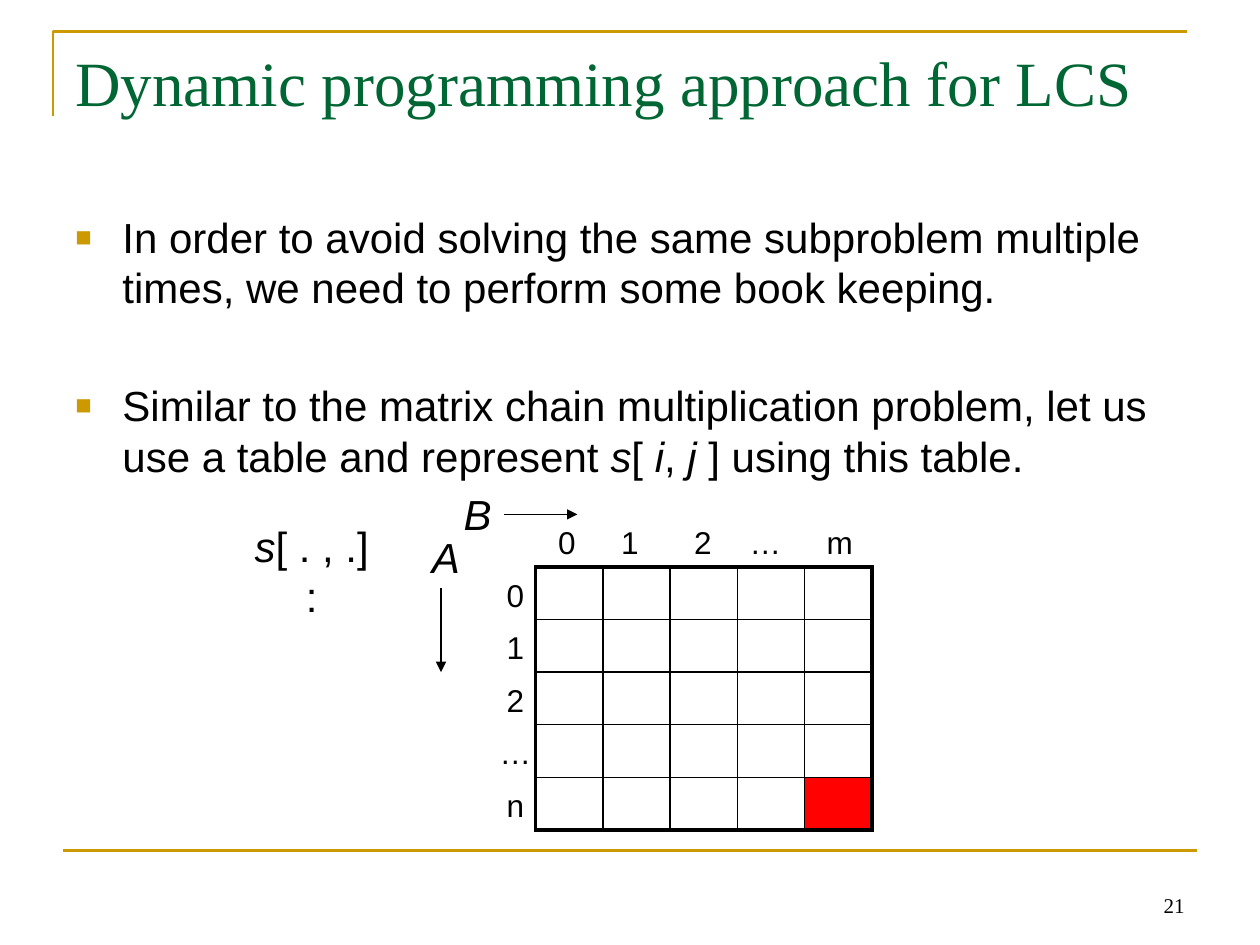
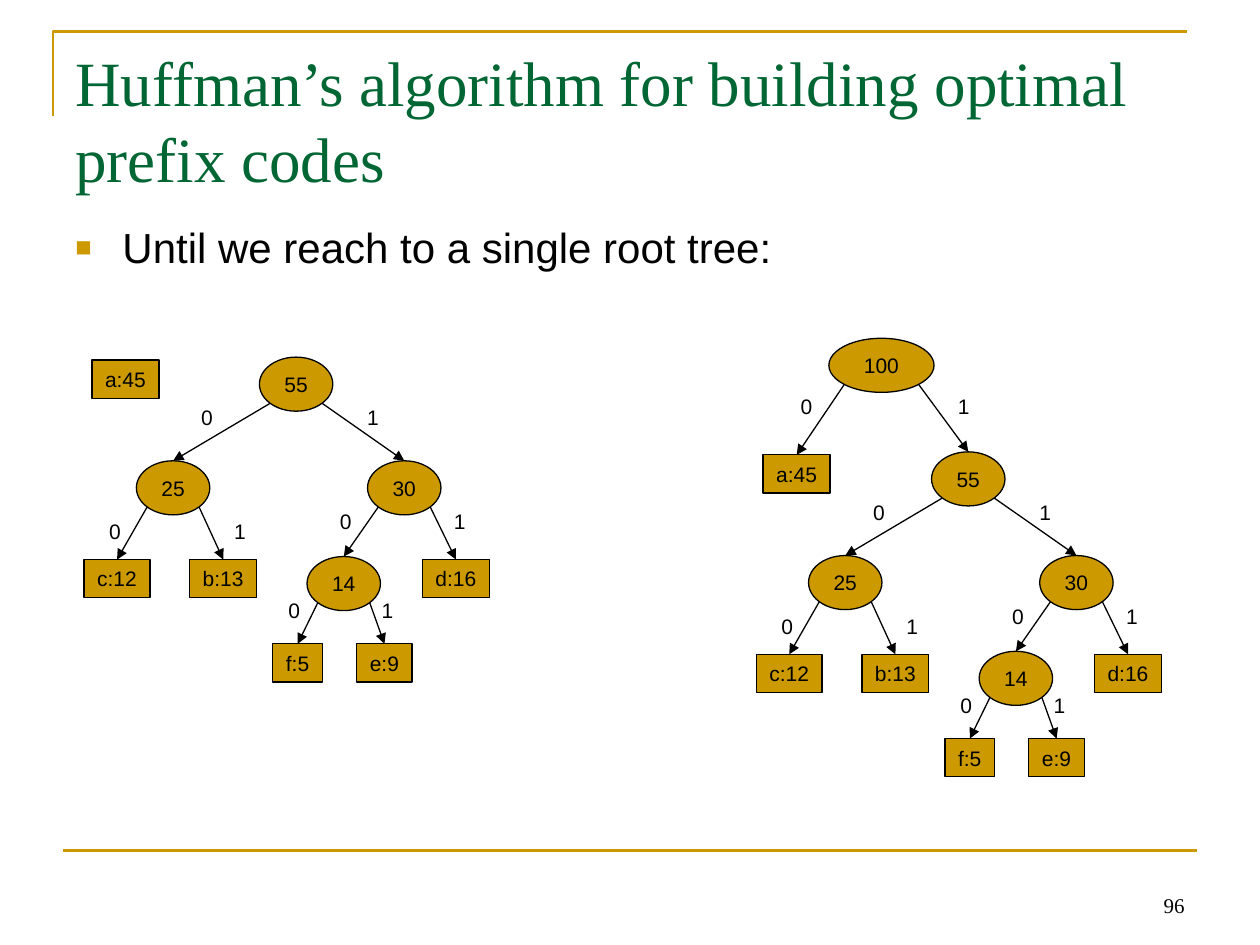
"""Build two algorithm lecture slides: an LCS table and Huffman trees."""
from lxml import etree
from pptx import Presentation
from pptx.dml.color import RGBColor
from pptx.enum.shapes import MSO_CONNECTOR, MSO_SHAPE
from pptx.enum.text import MSO_ANCHOR, PP_ALIGN
from pptx.oxml.ns import qn
from pptx.util import Cm, Pt

STRAIGHT = MSO_CONNECTOR.STRAIGHT
RECTANGLE, OVAL = MSO_SHAPE.RECTANGLE, MSO_SHAPE.OVAL
TOP, MIDDLE, BOTTOM = MSO_ANCHOR.TOP, MSO_ANCHOR.MIDDLE, MSO_ANCHOR.BOTTOM
LEFT, CENTER, RIGHT = PP_ALIGN.LEFT, PP_ALIGN.CENTER, PP_ALIGN.RIGHT

GOLD = RGBColor(0xCC, 0x99, 0x00)
GREEN = RGBColor(0x00, 0x66, 0x33)
BLACK = RGBColor(0x00, 0x00, 0x00)
RED = RGBColor(0xFF, 0x01, 0x01)
SANS, SERIF = "Arial", "Times New Roman"

LCS_TITLE = "Dynamic programming approach for LCS"
LCS_POINTS = [
    "In order to avoid solving the same subproblem multiple times, we need to perform some book keeping.",
    "Similar to the matrix chain multiplication problem, let us use a table and represent "
    "*s*[ *i*, *j* ] using this table.",
]
ROW_LABELS = ["0", "1", "2", "…", "n"]
COLUMN_LABELS = [("0", 11.43), ("1", 12.7), ("2", 14.17), ("…", 15.43), ("m", 16.93)]
AXIS_LABELS = [("*A*", 8.99, 10.59), ("*B*", 9.63, 9.73)]
AXIS_ARROWS = [((8.89, 11.85), (8.89, 13.55)), ((10.16, 10.37), (11.64, 10.37))]
TABLE_LEFT, TABLE_TOP, COLUMN_WIDTH, ROW_HEIGHT = 10.8, 11.43, 1.355, 1.06

HUFFMAN_TITLE = "Huffman’s algorithm for building optimal prefix codes"
HUFFMAN_POINTS = ["Until we reach to a single root tree:"]
INNER_HEIGHT, LEAF_HEIGHT = 1.09, 0.77
NODES = {
    "f:5": (6.0, 12.98, 1.0),
    "b:13": (4.5, 11.28, 1.35),
    "c:12": (2.36, 11.28, 1.33),
    "d:16": (9.19, 11.28, 1.35),
    "e:9": (7.75, 12.98, 1.12),
    "a:45": (2.53, 7.26, 1.35),
    "14": (6.93, 11.22, 1.48),
    "25": (3.49, 9.29, 1.48),
    "30": (8.15, 9.29, 1.48),
    "55": (5.97, 7.2, 1.48),
}
BRANCHES = {
    "14": ("f:5", "e:9", -1.0, 0.88, 0.71),
    "25": ("c:12", "b:13", -1.17, 1.35, 1.04),
    "30": ("14", "d:16", -1.18, 1.12, 0.84),
    "55": ("25", "30", -1.8, 1.55, 0.84),
}
SHIFT_X, SHIFT_Y = 13.55, 1.91
FULL_NODES = {
    name: (x + SHIFT_X, y + SHIFT_Y, width) for name, (x, y, width) in NODES.items()
} | {"a:45": (16.06, 9.17, 1.35), "100": (17.77, 6.82, 2.12)}
FULL_BRANCHES = BRANCHES | {"100": ("a:45", "55", -1.51, 1.66, 0.99)}


def add_bullet(paragraph):
    """Give a paragraph a gold square bullet with a hanging indent."""
    properties = paragraph._p.get_or_add_pPr()
    properties.set("marL", str(Cm(0.95)))
    properties.set("indent", str(-Cm(0.95)))
    color = etree.SubElement(properties, qn("a:buClr"))
    etree.SubElement(color, qn("a:srgbClr"), val=str(GOLD))
    etree.SubElement(properties, qn("a:buSzPct"), val="65000")
    etree.SubElement(properties, qn("a:buFont"), typeface=SANS)
    etree.SubElement(properties, qn("a:buChar"), char="■")


def write_text(shape, *texts, size=12, font=SANS, color=BLACK, align=CENTER,
               anchor=TOP, side=0.0, bullets=False, gap=0):
    """Write one paragraph per text; parts between asterisks are italic."""
    frame = shape.text_frame
    frame.word_wrap = True
    frame.vertical_anchor = anchor
    frame.margin_left = frame.margin_right = Cm(side)
    for index, text in enumerate(texts):
        paragraph = frame.add_paragraph() if index else frame.paragraphs[0]
        if bullets:
            add_bullet(paragraph)
        paragraph.alignment = align
        if index:
            paragraph.space_before = Pt(gap)
        for position, part in enumerate(text.split("*")):
            if part:
                run = paragraph.add_run()
                run.text = part
                run.font.italic = position % 2 == 1
                run.font.name, run.font.size = font, Pt(size)
                run.font.color.rgb = color


def add_box(slide, left, top, width, height, *texts, **text_format):
    """Add a text box and fill it."""
    box = slide.shapes.add_textbox(Cm(left), Cm(top), Cm(width), Cm(height))
    write_text(box, *texts, **text_format)


def add_label(slide, text, center, top, size):
    """Add a short label centred on a horizontal position."""
    add_box(slide, center - 0.6, top, 1.2, 0.25 + size * 0.042, text, size=size)


def add_line(slide, start, end, color=BLACK, width=0.75, arrow=True):
    """Add a straight line, with an arrowhead unless told otherwise."""
    points = [Cm(value) for value in (*start, *end)]
    connector = slide.shapes.add_connector(STRAIGHT, *points)
    connector.line.color.rgb = color
    connector.line.width = Pt(width)
    if arrow:
        etree.SubElement(connector.line._get_or_add_ln(), qn("a:tailEnd"), type="triangle")
    etree.SubElement(connector._element.spPr, qn("a:effectLst"))


def add_slide(presentation, number, title, points, body_top):
    """Add a slide with the shared frame, title, bullets and number."""
    slide = presentation.slides.add_slide(presentation.slide_layouts[6])
    builder = slide.shapes.build_freeform(Cm(1.07), Cm(2.33))
    builder.add_line_segments([(Cm(1.07), Cm(0.64)), (Cm(23.93), Cm(0.64))], close=False)
    bracket = builder.convert_to_shape()
    bracket.shadow.inherit = False
    bracket.fill.background()
    bracket.line.color.rgb = GOLD
    bracket.line.width = Pt(1.5)
    add_line(slide, (1.27, 17.15), (24.13, 17.15), color=GOLD, width=1.5, arrow=False)
    add_box(slide, 18.21, 17.35, 5.92, 1.27, str(number), font=SERIF,
            align=RIGHT, anchor=BOTTOM, side=0.25)
    add_box(slide, 1.27, 0.76, 22.86, 3.18, title, size=36, font=SERIF,
            color=GREEN, align=LEFT, side=0.25)
    add_box(slide, 1.27, body_top, 22.86, 12.57, *points, size=24,
            align=LEFT, side=0.25, bullets=True, gap=38.5)
    return slide


def set_borders(cell, widths):
    """Draw black cell borders from widths in points keyed by side."""
    properties = cell._tc.get_or_add_tcPr()
    for index, (side, width) in enumerate(widths.items()):
        line = etree.Element(qn(f"a:ln{side}"), w=str(Pt(width)))
        fill = etree.SubElement(line, qn("a:solidFill"))
        etree.SubElement(fill, qn("a:srgbClr"), val=str(BLACK))
        properties.insert(index, line)


def add_score_table(slide):
    """Add the empty score table with its last cell marked."""
    count = len(ROW_LABELS)
    last = count - 1
    table = slide.shapes.add_table(
        count, count, Cm(TABLE_LEFT), Cm(TABLE_TOP),
        Cm(count * COLUMN_WIDTH), Cm(count * ROW_HEIGHT)).table
    table.first_row = table.horz_banding = False
    for index in range(count):
        table.columns[index].width = Cm(COLUMN_WIDTH)
        table.rows[index].height = Cm(ROW_HEIGHT)
    for row in range(count):
        for column in range(count):
            cell = table.cell(row, column)
            cell.fill.background()
            outer = {"L": column == 0, "R": column == last, "T": row == 0, "B": row == last}
            set_borders(cell, {side: 2.25 if edge else 1 for side, edge in outer.items()})
    corner = table.cell(last, last).fill
    corner.solid()
    corner.fore_color.rgb = RED


def add_lcs_slide(presentation):
    """Add the slide on the LCS score table."""
    slide = add_slide(presentation, 21, LCS_TITLE, LCS_POINTS, 4.14)
    add_score_table(slide)
    add_box(slide, 4.66, 10.37, 3.25, 1.27, "*s*[ . , .] :", size=24, side=0.25)
    for index, text in enumerate(ROW_LABELS):
        add_label(slide, text, 10.39, TABLE_TOP + 0.05 + index * ROW_HEIGHT, 18)
    for text, center in COLUMN_LABELS:
        add_label(slide, text, center, 10.41, 18)
    for text, center, top in AXIS_LABELS:
        add_label(slide, text, center, top, 24)
    for start, end in AXIS_ARROWS:
        add_line(slide, start, end)


def add_tree(slide, nodes, branches):
    """Draw the nodes, then the labelled arrows from parents to children."""
    for name, (center, top, width) in nodes.items():
        inner = name in branches
        height = INNER_HEIGHT if inner else LEAF_HEIGHT
        node = slide.shapes.add_shape(OVAL if inner else RECTANGLE, Cm(center - width / 2),
                                      Cm(top), Cm(width), Cm(height))
        node.shadow.inherit = False
        node.fill.solid()
        node.fill.fore_color.rgb = GOLD
        node.line.color.rgb = BLACK
        node.line.width = Pt(0.75)
        write_text(node, name, anchor=MIDDLE)
    diagonal = 0.5 ** 0.5 / 2
    for parent, (zero, one, zero_offset, one_offset, drop) in branches.items():
        center, top, width = nodes[parent]
        start_y = top + INNER_HEIGHT * (0.5 + diagonal)
        for bit, child, side, offset in (("0", zero, -1, zero_offset), ("1", one, 1, one_offset)):
            add_line(slide, (center + side * width * diagonal, start_y), nodes[child][:2])
            add_label(slide, bit, center + offset, top + drop, 12)


def add_huffman_slide(presentation):
    """Add the slide on the last step of Huffman's algorithm."""
    slide = add_slide(presentation, 96, HUFFMAN_TITLE, HUFFMAN_POINTS, 4.34)
    add_tree(slide, NODES, BRANCHES)
    add_tree(slide, FULL_NODES, FULL_BRANCHES)


def main():
    """Build and save the presentation."""
    presentation = Presentation()
    presentation.slide_width, presentation.slide_height = Cm(25.4), Cm(19.05)
    add_lcs_slide(presentation)
    add_huffman_slide(presentation)
    presentation.save("out.pptx")


if __name__ == "__main__":
    main()
